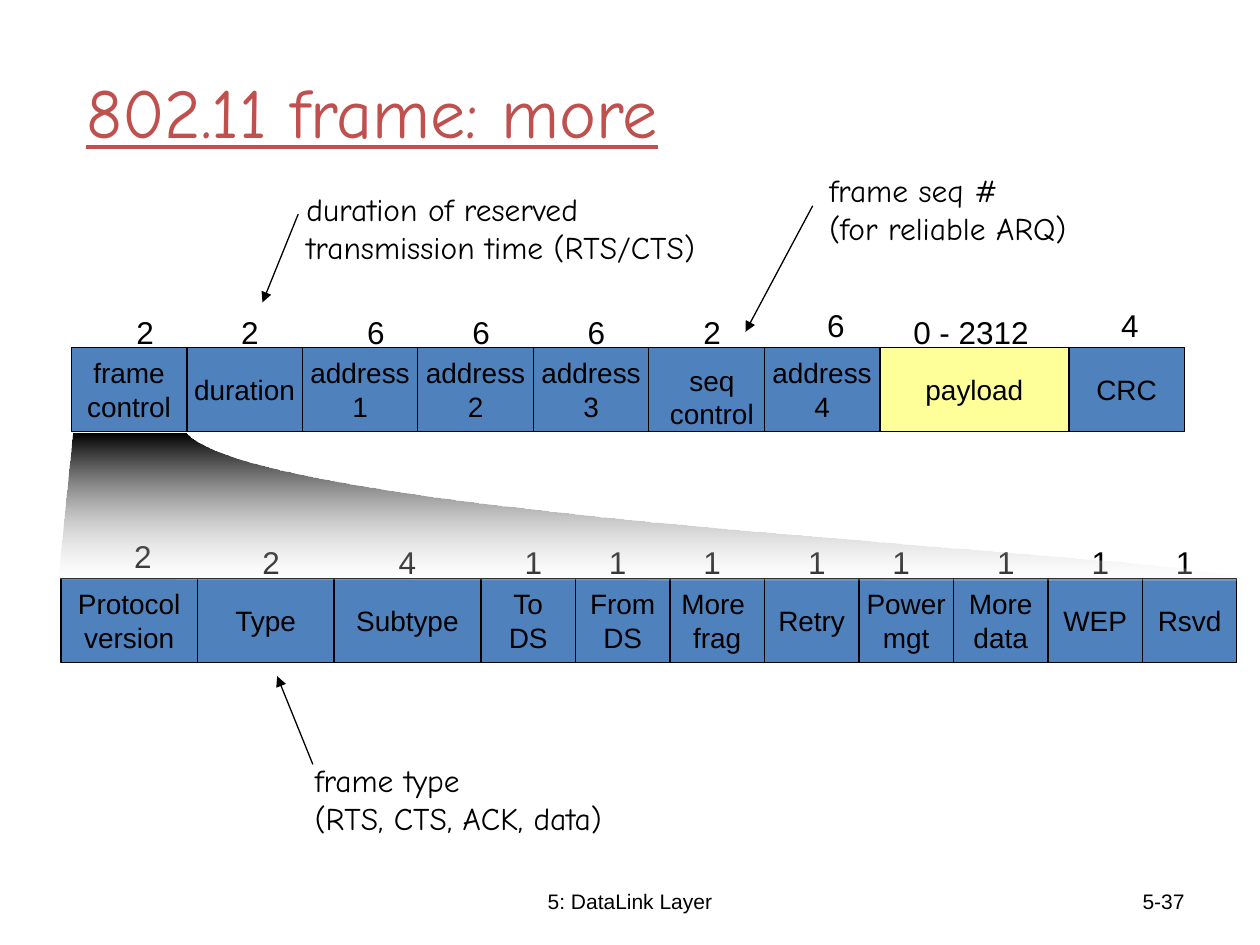
from lxml.etree import SubElement
from pptx import Presentation
from pptx.dml.color import RGBColor
from pptx.enum.shapes import MSO_CONNECTOR, MSO_SHAPE
from pptx.enum.text import MSO_ANCHOR, MSO_AUTO_SIZE, PP_ALIGN
from pptx.oxml.ns import qn
from pptx.util import Pt

PX = 7620
BLACK = RGBColor(0x00, 0x00, 0x00)
WHITE = RGBColor(0xFF, 0xFF, 0xFF)
BLUE = RGBColor(0x4F, 0x81, 0xBD)
YELLOW = RGBColor(0xFF, 0xFF, 0x99)
RED = RGBColor(0xC0, 0x50, 0x4D)
SANS = "Arial"
COMIC = "Comic Neue"
CELL_HEIGHT = 80
LABEL_HEIGHT = 48

FRAME_LEFT, FRAME_TOP = 68, 331
FRAME_FIELDS = [
    ("frame\ncontrol", 110, BLUE),
    ("duration", 110, BLUE),
    ("address\n1", 110, BLUE),
    ("address\n2", 110, BLUE),
    ("address\n3", 110, BLUE),
    ("", 110, BLUE),
    ("address\n4", 110, BLUE),
    ("payload", 180, YELLOW),
    ("CRC", 110, BLUE),
]
FRAME_BYTES = [
    ("2", 118, 292), ("2", 218, 292), ("6", 338, 292),
    ("6", 438, 292), ("6", 548, 292), ("2", 658, 292),
    ("6", 776, 286), ("0 - 2312", 858, 292), ("4", 1056, 286),
]

CONTROL_LEFT, CONTROL_TOP = 58, 551
CONTROL_FIELDS = [
    ("Protocol\nversion", 130, BLUE),
    ("Type", 130, BLUE),
    ("Subtype", 140, BLUE),
    ("To\nDS", 90, BLUE),
    ("From\nDS", 90, BLUE),
    ("More \nfrag", 90, BLUE),
    ("Retry", 90, BLUE),
    ("Power\nmgt", 90, BLUE),
    ("More\ndata", 90, BLUE),
    ("WEP", 90, BLUE),
    ("Rsvd", 90, BLUE),
]
CONTROL_BITS = [("2", 116, 506)] + [
    (bits, left, 511)
    for bits, left in zip(
        "2411111111", [238, 368, 488, 568, 658, 758, 838, 938, 1028, 1108]
    )
]

CALLOUTS = [
    ("duration of reserved\ntransmission time (RTS/CTS)",
     (280, 175, 435, 84), (284, 204, 250, 288)),
    ("frame seq #\n(for reliable ARQ)",
     (778, 157, 282, 84), (774, 196, 710, 316)),
    ("frame type\n(RTS, CTS, ACK, data)",
     (288, 719, 338, 84), (298, 728, 264, 644)),
]


def px(*lengths):
    return [round(length * PX) for length in lengths]


def write_text(shape, text, size=18, font=SANS, color=BLACK, align=PP_ALIGN.LEFT,
               anchor=MSO_ANCHOR.TOP, wrap=False, grow=False, underline=None):
    frame = shape.text_frame
    frame.text = text
    frame.word_wrap = wrap
    frame.vertical_anchor = anchor
    frame.auto_size = MSO_AUTO_SIZE.SHAPE_TO_FIT_TEXT if grow else MSO_AUTO_SIZE.NONE
    for paragraph in frame.paragraphs:
        paragraph.alignment = align
        for run in paragraph.runs:
            run.font.size = Pt(size)
            run.font.name = font
            run.font.color.rgb = color
            run.font.underline = underline


def add_text(slide, box, text, **text_format):
    write_text(slide.shapes.add_textbox(*px(*box)), text, **text_format)


def add_title(slide, text):
    title = slide.shapes.title
    title.left, title.top, title.width, title.height = px(70, 30, 1020, 150)
    write_text(title, text, size=40, font=COMIC, color=RED,
               anchor=MSO_ANCHOR.MIDDLE, wrap=True, underline=True)


def add_field_row(slide, left, top, fields):
    for text, width, color in fields:
        cell = slide.shapes.add_shape(
            MSO_SHAPE.RECTANGLE, *px(left, top, width, CELL_HEIGHT))
        cell.shadow.inherit = False
        cell.fill.solid()
        cell.fill.fore_color.rgb = color
        cell.line.color.rgb = BLACK
        cell.line.width = Pt(0.75)
        if text:
            write_text(cell, text, size=16, align=PP_ALIGN.CENTER,
                       anchor=MSO_ANCHOR.MIDDLE)
        left += width


def add_size_labels(slide, labels):
    for text, left, top in labels:
        width = 41 if len(text) == 1 else 134
        add_text(slide, (left, top, width, LABEL_HEIGHT), text, grow=True)


def curve_points(start, first_control, second_control, end, steps=60):
    for step in range(1, steps + 1):
        t = step / steps
        weights = ((1 - t) ** 3, 3 * t * (1 - t) ** 2, 3 * t ** 2 * (1 - t), t ** 3)
        corners = (start, first_control, second_control, end)
        yield tuple(
            sum(weight * corner[axis] for weight, corner in zip(weights, corners))
            for axis in (0, 1)
        )


def add_zoom_fan(slide):
    lower_right = (1180, 553)
    outline = [(56, 551), lower_right]
    outline += curve_points(lower_right, (1200, 529), (259, 498), (178, 413))
    builder = slide.shapes.build_freeform(*px(70, 413), scale=1.0)
    builder.add_line_segments([px(*point) for point in outline], close=True)
    fan = builder.convert_to_shape()
    fan.shadow.inherit = False
    fan.line.fill.background()
    fan.fill.gradient()
    fan.fill.gradient_angle = 270
    for stop, color in zip(fan.fill.gradient_stops, (BLACK, WHITE)):
        stop.color.rgb = color
    end_color = fan.element.xpath(".//a:gs[2]/a:srgbClr")[0]
    SubElement(end_color, qn("a:alpha")).set("val", "18000")


def add_arrow(slide, ends):
    arrow = slide.shapes.add_connector(MSO_CONNECTOR.STRAIGHT, *px(*ends))
    arrow.line.color.rgb = BLACK
    arrow.line.width = Pt(0.75)
    SubElement(arrow.line._get_or_add_ln(), qn("a:tailEnd")).set("type", "triangle")
    SubElement(arrow.element.spPr, qn("a:effectLst"))


def main():
    presentation = Presentation()
    presentation.slide_width, presentation.slide_height = px(1200, 900)
    slide = presentation.slides.add_slide(presentation.slide_layouts[5])

    add_title(slide, "802.11 frame: more")
    add_text(slide, (410, 834, 380, 48), "5: DataLink Layer", size=12,
             align=PP_ALIGN.CENTER, anchor=MSO_ANCHOR.MIDDLE, wrap=True)
    add_text(slide, (860, 834, 280, 48), "5-37", size=12,
             align=PP_ALIGN.RIGHT, anchor=MSO_ANCHOR.MIDDLE, wrap=True)

    add_field_row(slide, FRAME_LEFT, FRAME_TOP, FRAME_FIELDS)
    add_size_labels(slide, FRAME_BYTES)
    add_text(slide, (626, 340, 104, 77), "seq\ncontrol", size=16,
             align=PP_ALIGN.CENTER, grow=True)

    add_field_row(slide, CONTROL_LEFT, CONTROL_TOP, CONTROL_FIELDS)
    add_size_labels(slide, CONTROL_BITS)
    add_zoom_fan(slide)

    for text, box, ends in CALLOUTS:
        add_text(slide, box, text, font=COMIC, grow=True)
        add_arrow(slide, ends)

    presentation.save("out.pptx")


if __name__ == "__main__":
    main()
